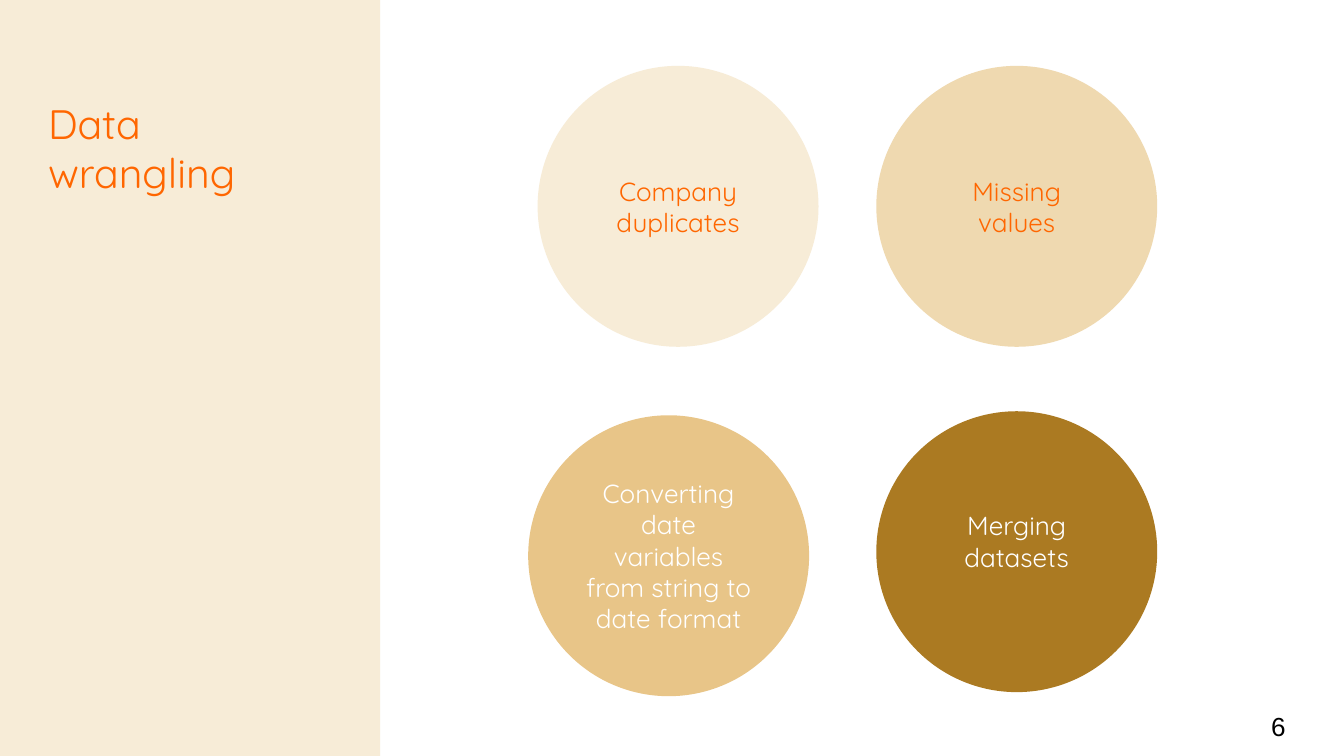
import pptx
import pptx.util
import pptx.dml.color
import pptx.enum.shapes
import pptx.enum.text

SHAPE = pptx.enum.shapes.MSO_SHAPE
ANCHOR = pptx.enum.text.MSO_ANCHOR
ALIGN = pptx.enum.text.PP_ALIGN
Inches = pptx.util.Inches

heading = "Data wrangling"
page_number = "6"
tasks = [
    dict(label="Company duplicates", fill="cream", ink="orange"),
    dict(label="Missing values", fill="sand", ink="orange"),
    dict(label="Converting date variables from string to date format",
         fill="honey", ink="white", nudge=(-0.07, 0.03), side=0.12),
    dict(label="Merging datasets", fill="bronze", ink="white", bottom=0.26),
]

theme = dict(
    cream="F7ECD7", sand="EFD9B0", honey="E8C588", bronze="AB7A22",
    orange="FF6600", white="FFFFFF", black="000000",
    font="Quicksand", number_font="Arial", heading_size=22, body_size=14,
)

WIDTH = 10
HEIGHT = WIDTH * 9 / 16
SIDEBAR = 2.83
COLUMNS = 2
LEFT, TOP = 4, 0.49
COLUMN_STEP, ROW_STEP = 2.52, 2.57
DIAMETER = 2.09
INSET = 0.1


def color(name):
    return pptx.dml.color.RGBColor.from_string(theme[name])


def write(holder, text, size="body_size", ink="black", font="font",
          align=ALIGN.LEFT, anchor=ANCHOR.MIDDLE, side=INSET, bottom=INSET):
    frame = holder.text_frame
    frame.word_wrap = True
    frame.vertical_anchor = anchor
    frame.margin_left = frame.margin_right = Inches(side)
    frame.margin_top = Inches(INSET)
    frame.margin_bottom = Inches(bottom)
    paragraph = frame.paragraphs[0]
    paragraph.alignment = align
    run = paragraph.add_run()
    run.text = text
    run.font.name = theme[font]
    run.font.size = pptx.util.Pt(theme[size])
    run.font.color.rgb = color(ink)


def add_filled(slide, kind, box, fill):
    shape = slide.shapes.add_shape(kind, *map(Inches, box))
    shape.shadow.inherit = False
    shape.fill.solid()
    shape.fill.fore_color.rgb = color(fill)
    shape.line.fill.background()
    return shape


def main():
    deck = pptx.Presentation()
    deck.slide_width, deck.slide_height = Inches(WIDTH), Inches(HEIGHT)
    slide = deck.slides.add_slide(deck.slide_layouts[6])

    add_filled(slide, SHAPE.RECTANGLE,
               (SIDEBAR, 0, WIDTH - SIDEBAR, HEIGHT), "white")
    add_filled(slide, SHAPE.RECTANGLE, (0, 0, SIDEBAR, HEIGHT), "cream")

    title = slide.shapes.add_textbox(*map(Inches, (0.26, 0.63, 2.24, 4.35)))
    write(title, heading, size="heading_size", ink="orange", anchor=ANCHOR.TOP)
    number = slide.shapes.add_textbox(*map(Inches, (9.36, 5.19, 0.6, 0.43)))
    write(number, page_number, font="number_font")

    for index, task in enumerate(tasks):
        row, column = divmod(index, COLUMNS)
        shift_x, shift_y = task.get("nudge", (0, 0))
        box = (LEFT + column * COLUMN_STEP + shift_x,
               TOP + row * ROW_STEP + shift_y, DIAMETER, DIAMETER)
        circle = add_filled(slide, SHAPE.OVAL, box, task["fill"])
        write(circle, task["label"], ink=task["ink"], align=ALIGN.CENTER,
              side=task.get("side", INSET), bottom=task.get("bottom", INSET))

    deck.save("out.pptx")


if __name__ == "__main__":
    main()
